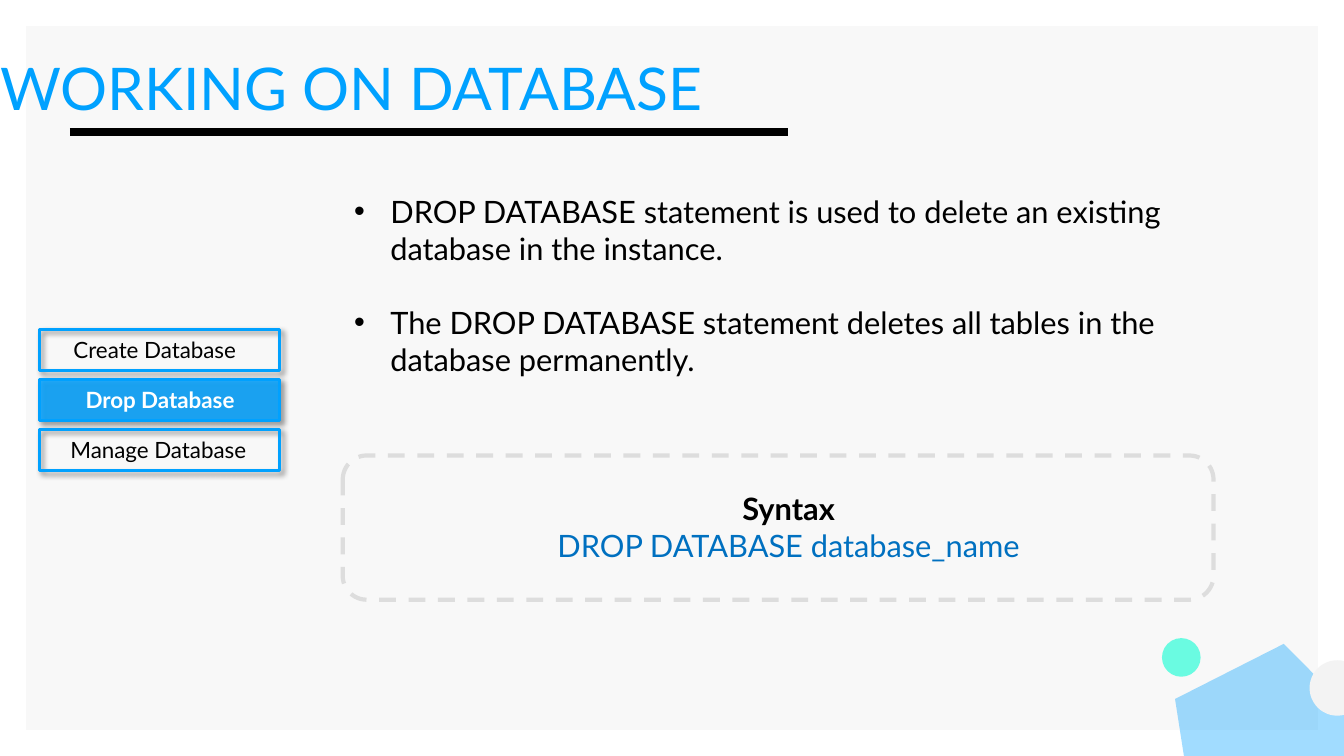
from dataclasses import dataclass

from lxml import etree
from pptx import Presentation
from pptx.dml.color import RGBColor
from pptx.enum.dml import MSO_LINE
from pptx.enum.shapes import MSO_CONNECTOR, MSO_SHAPE
from pptx.enum.text import MSO_ANCHOR, MSO_AUTO_SIZE, PP_ALIGN
from pptx.oxml.ns import qn
from pptx.util import Pt

RECTANGLE = MSO_SHAPE.RECTANGLE
ROUNDED = MSO_SHAPE.ROUNDED_RECTANGLE
PENTAGON = MSO_SHAPE.REGULAR_PENTAGON
OVAL = MSO_SHAPE.OVAL
STRAIGHT = MSO_CONNECTOR.STRAIGHT
DASH = MSO_LINE.DASH
TOP = MSO_ANCHOR.TOP
LEFT, CENTER = PP_ALIGN.LEFT, PP_ALIGN.CENTER
NO_AUTOFIT = MSO_AUTO_SIZE.NONE
TITLE_ONLY = 5


@dataclass(frozen=True)
class Theme:
    """Colours, font and type sizes of the slide."""
    font: str = "Lato"
    accent: str = "00A1FF"
    mint: str = "00FFD0"
    code: str = "0070C0"
    ink: str = "000000"
    paper: str = "FFFFFF"
    panel: str = "F8F8F8"
    pale: str = "F3F3F3"
    border: str = "DDDDDD"
    title_size: int = 42
    body_size: int = 22
    menu_size: int = 16


THEME = Theme()


def points(*values):
    """Convert numbers to point lengths."""
    return [Pt(value) for value in values]


def set_alpha(color_parent, percent):
    """Give the colour inside an element an opacity in percent."""
    color = next(color_parent.iter(qn("a:srgbClr")))
    etree.SubElement(color, qn("a:alpha"), val=str(percent * 1000))


def add_box(shapes, kind, box, fill=None, opacity=100, line=None, width=0, dash=None):
    """Add a preset shape with a plain fill and outline."""
    shape = shapes.add_shape(kind, *points(*box))
    shape.shadow.inherit = False
    if fill:
        shape.fill.solid()
        shape.fill.fore_color.rgb = RGBColor.from_string(fill)
        if opacity < 100:
            set_alpha(shape.element.spPr.find(qn("a:solidFill")), opacity)
    else:
        shape.fill.background()
    if line:
        shape.line.color.rgb = RGBColor.from_string(line)
        shape.line.width = Pt(width)
        if dash:
            shape.line.dash_style = dash
    else:
        shape.line.fill.background()
    return shape


def add_shadow(shape):
    """Cast a soft shadow to the lower right."""
    effects = shape.element.spPr.find(qn("a:effectLst"))
    shadow = etree.SubElement(
        effects, qn("a:outerShdw"), blurRad=str(Pt(4)), dist=str(Pt(3)),
        dir="2700000", algn="tl", rotWithShape="0")
    etree.SubElement(shadow, qn("a:srgbClr"), val=THEME.ink)
    set_alpha(shadow, 40)


def write(paragraph, text, size=THEME.body_size, color=THEME.ink, bold=False,
          align=LEFT, before=0, bullet=False):
    """Write one formatted paragraph."""
    if bullet:
        properties = paragraph._p.get_or_add_pPr()
        properties.set("marL", str(Pt(27)))
        properties.set("indent", str(-Pt(26)))
        bullet_color = etree.SubElement(properties, qn("a:buClr"))
        etree.SubElement(bullet_color, qn("a:srgbClr"), val=THEME.ink)
        etree.SubElement(properties, qn("a:buFont"), typeface="Arial")
        etree.SubElement(properties, qn("a:buChar"), char="•")
    paragraph.alignment = align
    paragraph.line_spacing = 1.0
    paragraph.space_before = Pt(before)
    run = paragraph.add_run()
    run.text = text
    run.font.name = THEME.font
    run.font.size = Pt(size)
    run.font.bold = bold
    run.font.color.rgb = RGBColor.from_string(color)


def add_text_frame(shapes, box):
    """Add a wrapping text box and return its frame."""
    frame = shapes.add_textbox(*points(*box)).text_frame
    frame.word_wrap = True
    return frame


def add_backdrop(slide, box):
    """Draw the grey panel and the corner ornaments."""
    left, top, width, height = box
    margin = 18.7
    add_box(slide.shapes, RECTANGLE,
            (left + margin, top + margin, width - 2 * margin, height - 2 * margin),
            fill=THEME.panel)
    right, bottom = left + width, top + height
    pentagon = add_box(slide.shapes, PENTAGON, (right - 118.3, bottom - 75, 141, 134),
                       fill=THEME.accent, opacity=37)
    pentagon.rotation = 81.1
    add_box(slide.shapes, OVAL, (right - 130, bottom - 84.2, 27.6, 27.6),
            fill=THEME.mint, opacity=57)
    add_box(slide.shapes, OVAL, (right - 24.6, bottom - 68.4, 39.6, 39.6),
            fill=THEME.pale)


def add_heading(slide, box):
    """Place the title and the rule beneath it."""
    left, top, width, height = box
    title = slide.shapes.title
    slide.shapes.element.append(title.element)
    title.left, title.top, title.width, title.height = points(*box)
    frame = title.text_frame
    frame.auto_size = NO_AUTOFIT
    frame.word_wrap = True
    frame.vertical_anchor = TOP
    frame.margin_left = frame.margin_right = frame.margin_bottom = 0
    frame.margin_top = Pt(0.7)
    write(frame.paragraphs[0], "WORKING ON DATABASE",
          size=THEME.title_size, color=THEME.accent)
    rule_y = top + 58.3
    rule = slide.shapes.add_connector(
        STRAIGHT, *points(left + 50, rule_y, left + 563, rule_y))
    rule.line.color.rgb = RGBColor.from_string(THEME.ink)
    rule.line.width = Pt(6)
    etree.SubElement(rule.element.spPr, qn("a:effectLst"))


def add_statements(slide, box):
    """List what the statement does."""
    frame = add_text_frame(slide.shapes, box)
    write(frame.paragraphs[0], "DROP DATABASE statement is used to delete an existing "
          "database in the instance.", bullet=True)
    write(frame.add_paragraph(), "The DROP DATABASE statement deletes all tables in the "
          "database permanently.", bullet=True, before=26.4)


def add_syntax(slide, box):
    """Show the syntax inside a dashed frame."""
    left, top, width, height = box
    group = slide.shapes.add_group_shape()
    frame = add_text_frame(group.shapes, (left + 87, top + 20.8, 463, 55.4))
    write(frame.paragraphs[0], "Syntax", bold=True, align=CENTER)
    write(frame.add_paragraph(), "DROP DATABASE database_name",
          color=THEME.code, align=CENTER)
    add_box(group.shapes, ROUNDED, box, line=THEME.border, width=3, dash=DASH)


def add_menu(slide, box):
    """Stack the topic buttons with the current one filled."""
    left, top, width, height = box
    button_height = 29.5
    pitch = (height - button_height) / 2
    entries = [("Create Database", 17.4, False),
               ("Drop Database", 26, True),
               ("Manage Database", 15.2, False)]
    group = slide.shapes.add_group_shape()
    for index, (label, inset, current) in enumerate(entries):
        button_top = top + index * pitch
        button = add_box(group.shapes, RECTANGLE, (left, button_top, width, button_height),
                         fill=THEME.accent if current else None,
                         opacity=84, line=THEME.accent, width=2.25)
        add_shadow(button)
        frame = add_text_frame(
            group.shapes, (left + inset, button_top + 1.2, width - inset, 28.8))
        write(frame.paragraphs[0], label, size=THEME.menu_size, bold=current,
              color=THEME.paper if current else THEME.ink)


def main():
    """Build and save the slide."""
    presentation = Presentation()
    presentation.slide_width, presentation.slide_height = points(960, 540)
    slide = presentation.slides.add_slide(presentation.slide_layouts[TITLE_ONLY])
    add_backdrop(slide, (0, 0, 960, 540))
    add_heading(slide, (0, 36, 738, 39.6))
    add_statements(slide, (244.8, 134, 636.5, 152.6))
    add_syntax(slide, (244.8, 325.4, 622, 103))
    add_menu(slide, (28, 235.4, 171.4, 100.8))
    presentation.save("out.pptx")


if __name__ == "__main__":
    main()
